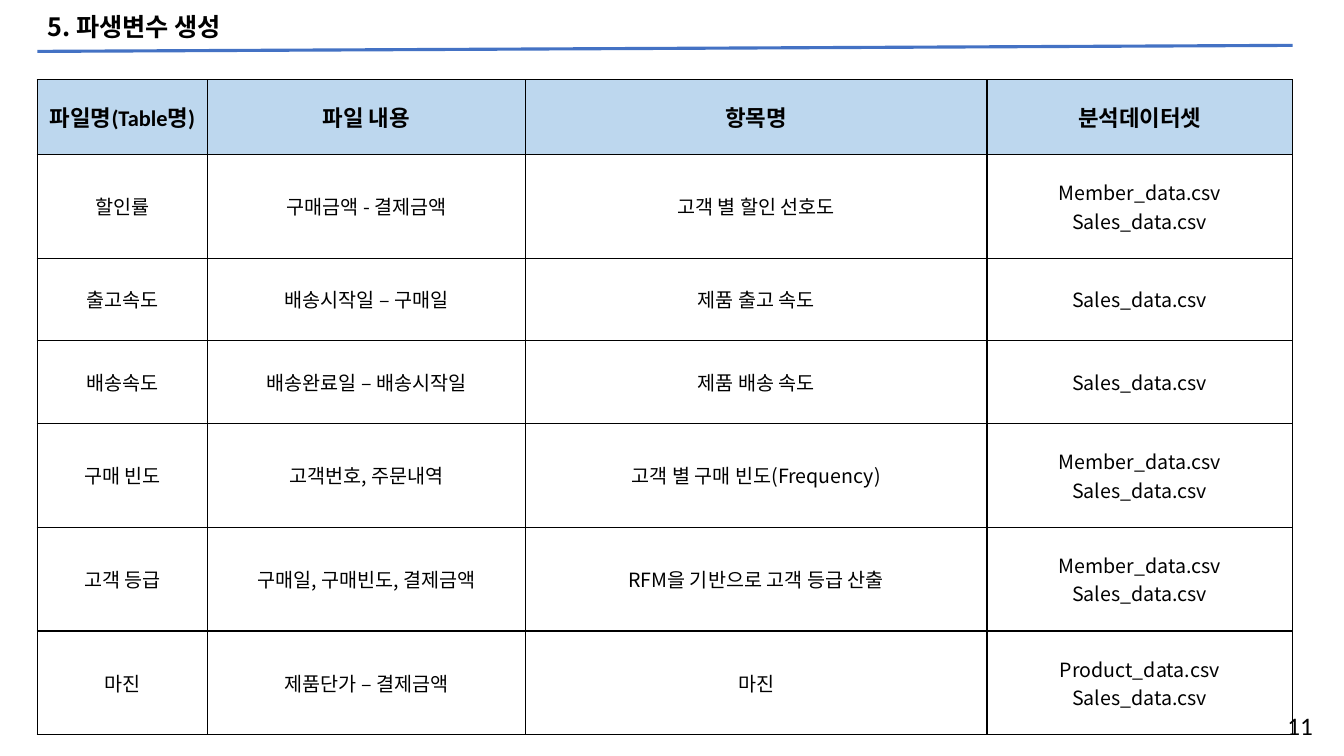
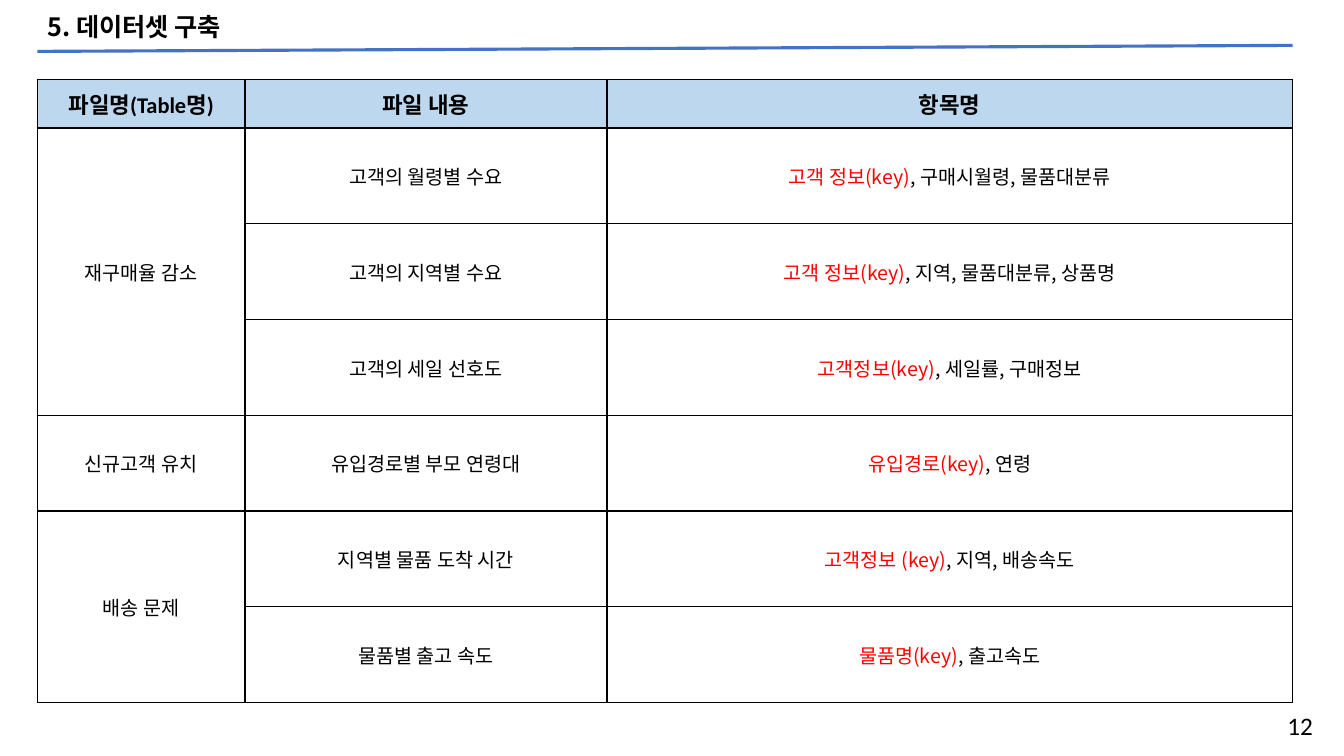
from dataclasses import dataclass

from lxml import etree
from pptx import Presentation
from pptx.dml.color import RGBColor
from pptx.enum.shapes import MSO_CONNECTOR
from pptx.enum.text import MSO_ANCHOR, MSO_AUTO_SIZE, PP_ALIGN
from pptx.oxml.ns import qn
from pptx.util import Inches, Pt

LEFT, MID, RIGHT = PP_ALIGN.LEFT, PP_ALIGN.CENTER, PP_ALIGN.RIGHT
TOP, CENTER = MSO_ANCHOR.TOP, MSO_ANCHOR.MIDDLE
FIXED = MSO_AUTO_SIZE.NONE
STRAIGHT = MSO_CONNECTOR.STRAIGHT
TITLE_ONLY = 5


@dataclass(frozen=True)
class Theme:
    ink: str = "000000"
    key: str = "FF0000"
    rule: str = "4472C4"
    head: str = "BDD7EE"
    paper: str = "FFFFFF"
    sans: str = "Noto Sans CJK KR"
    latin: str = "Calibri"
    big: int = 18
    label: int = 16
    body: int = 14
    left: float = 0.37
    width: float = 12.45


def rgb(code):
    return RGBColor.from_string(code)


class Deck:
    def __init__(self, theme):
        self.theme = theme
        self.prs = Presentation()
        self.prs.slide_width = Inches(13.33)
        self.prs.slide_height = Inches(7.5)
        self.slide = None
        self.styles = {
            "title": {"size": Pt(theme.big), "name": theme.sans, "bold": True},
            "head": {"size": Pt(theme.label), "name": theme.latin, "bold": True},
            "body": {"size": Pt(theme.body), "name": theme.sans, "bold": False},
            "page": {"size": Pt(theme.big), "name": theme.latin, "bold": False},
        }

    def start(self, title):
        """Add a slide with its title and the rule below it."""
        layout = self.prs.slide_layouts[TITLE_ONLY]
        self.slide = self.prs.slides.add_slide(layout)
        box = self.slide.shapes.title
        self.place(box, self.theme.left, 0.08, 9.14, 0.41)
        frame = box.text_frame
        frame.auto_size = FIXED
        frame.vertical_anchor = CENTER
        self.fill(frame, title, "title", LEFT)
        frame.paragraphs[0].line_spacing = 0.9
        self.rule()

    def place(self, shape, *spot):
        for name, value in zip(("left", "top", "width", "height"), spot):
            setattr(shape, name, Inches(value))

    def rule(self):
        left = self.theme.left
        line = self.slide.shapes.add_connector(
            STRAIGHT, Inches(left), Inches(0.51),
            Inches(left + self.theme.width), Inches(0.45))
        line.line.color.rgb = rgb(self.theme.rule)
        line.line.width = Pt(2.25)
        etree.SubElement(line._element.spPr, qn("a:effectLst"))

    def fill(self, frame, text, style, align):
        """Set lines of text; a (key, rest) pair gets a coloured key."""
        rows = [text] if isinstance(text, tuple) else text.split("\n")
        for i, row in enumerate(rows):
            para = frame.add_paragraph() if i else frame.paragraphs[0]
            para.alignment = align
            if isinstance(row, tuple):
                key, row = row
                self.add_run(para, key, style, self.theme.key)
            self.add_run(para, row, style, self.theme.ink)

    def add_run(self, para, text, style, color):
        run = para.add_run()
        run.text = text
        for name, value in self.styles[style].items():
            setattr(run.font, name, value)
        run.font.color.rgb = rgb(color)
        asian = etree.SubElement(run._r.get_or_add_rPr(), qn("a:ea"))
        asian.set("typeface", self.theme.sans)

    def border(self, cell):
        props = cell._tc.get_or_add_tcPr()
        for i, side in enumerate(("lnL", "lnR", "lnT", "lnB")):
            line = etree.Element(qn(f"a:{side}"), w=str(Pt(1)))
            paint = etree.SubElement(line, qn("a:solidFill"))
            etree.SubElement(paint, qn("a:srgbClr"), val=self.theme.ink)
            props.insert(i, line)

    def table(self, cols, rows, data):
        """Add a table; None merges a cell with the one above."""
        grid = self.slide.shapes.add_table(
            len(rows), len(cols), Inches(self.theme.left), Inches(0.79),
            Inches(self.theme.width), Inches(sum(rows))).table
        grid.first_row = grid.horz_banding = False
        for col, width in zip(grid.columns, cols):
            col.width = Inches(width)
        for row, height in zip(grid.rows, rows):
            row.height = Inches(height)
        for r, line in enumerate(data):
            for c, text in enumerate(line):
                cell = grid.cell(r, c)
                cell.vertical_anchor = CENTER
                cell.fill.solid()
                cell.fill.fore_color.rgb = rgb(self.theme.paper if r else self.theme.head)
                self.border(cell)
                if text is not None:
                    self.fill(cell.text_frame, text, "body" if r else "head", MID)
        for c in range(len(cols)):
            self.unite(grid, c, [line[c] for line in data])

    def unite(self, grid, col, texts):
        """Merge each text's cell with the empty ones below it."""
        first = 0
        for r in range(1, len(texts) + 1):
            if r == len(texts) or texts[r] is not None:
                if r - first > 1:
                    grid.cell(first, col).merge(grid.cell(r - 1, col))
                first = r

    def page(self, number):
        box = self.slide.shapes.add_textbox(
            Inches(12.14), Inches(7), Inches(0.98), Inches(0.41))
        frame = box.text_frame
        frame.word_wrap = True
        frame.vertical_anchor = TOP
        self.fill(frame, str(number), "page", RIGHT)


HEADS = ("파일명(Table명)", "파일 내용", "항목명")
SALES = "Sales_data.csv"
BOTH = f"Member_data.csv\n{SALES}"

DERIVED = [
    (*HEADS, "분석데이터셋"),
    ("할인률", "구매금액 - 결제금액", "고객 별 할인 선호도", BOTH),
    ("출고속도", "배송시작일 – 구매일", "제품 출고 속도", SALES),
    ("배송속도", "배송완료일 – 배송시작일", "제품 배송 속도", SALES),
    ("구매 빈도", "고객번호, 주문내역", "고객 별 구매 빈도(Frequency)", BOTH),
    ("고객 등급", "구매일, 구매빈도, 결제금액", "RFM을 기반으로 고객 등급 산출", BOTH),
    ("마진", "제품단가 – 결제금액", "마진", f"Product_data.csv\n{SALES}"),
]

SETS = [
    HEADS,
    ("재구매율 감소", "고객의 월령별 수요", ("고객 정보(key)", ", 구매시월령, 물품대분류")),
    (None, "고객의 지역별 수요", ("고객 정보(key)", ", 지역, 물품대분류, 상품명")),
    (None, "고객의 세일 선호도", ("고객정보(key)", ", 세일률, 구매정보")),
    ("신규고객 유치", "유입경로별 부모 연령대", ("유입경로(key)", ", 연령")),
    ("배송 문제", "지역별 물품 도착 시간", ("고객정보 (key)", ", 지역, 배송속도")),
    (None, "물품별 출고 속도", ("물품명(key)", ", 출고속도")),
]


def main():
    deck = Deck(Theme())

    deck.start("5. 파생변수 생성")
    tall, low = 1.03, 0.82
    deck.table((1.69, 3.15, 4.58, 3.03),
               (0.47, tall, low, low, tall, tall, tall), DERIVED)
    deck.page(11)

    deck.start("5. 데이터셋 구축")
    deck.table((2.06, 3.59, 6.8), (0.48, *[0.95] * 6), SETS)
    deck.page(12)

    deck.prs.save("out.pptx")


if __name__ == "__main__":
    main()
